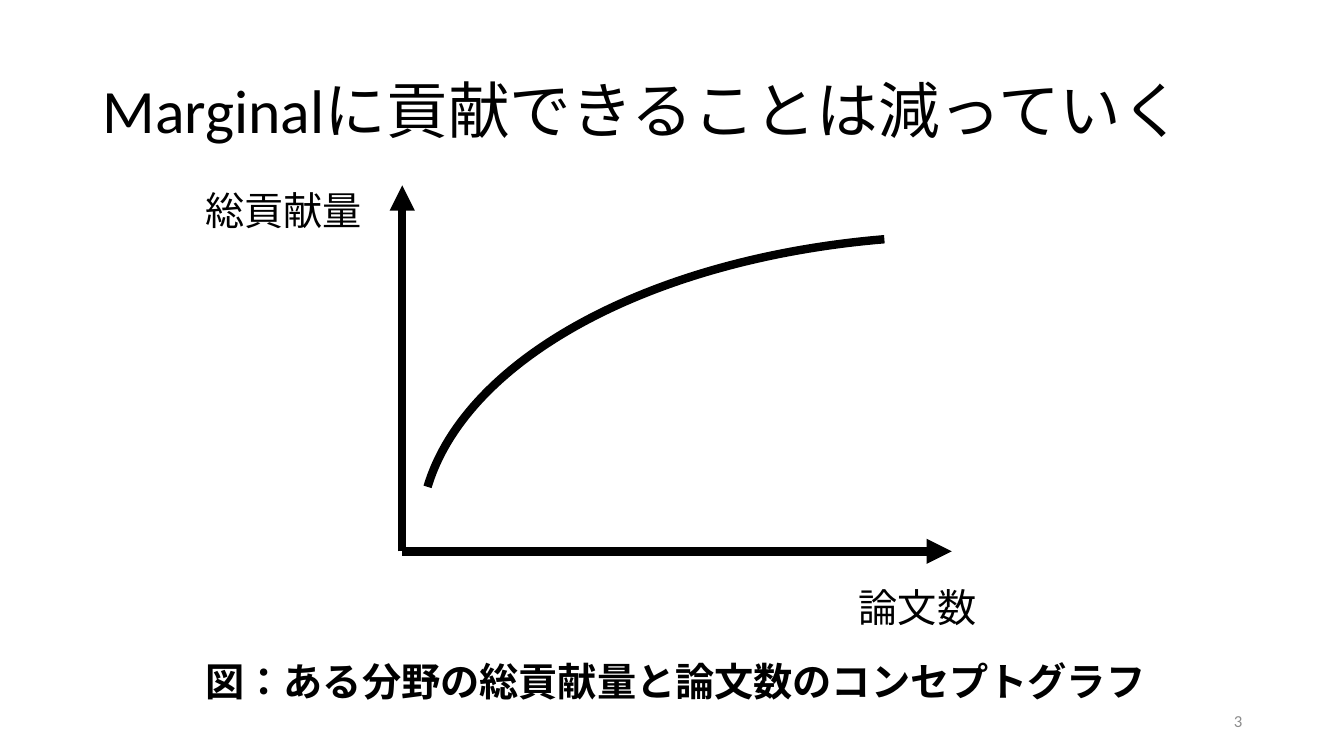
from lxml import etree
from pptx import Presentation
from pptx.dml.color import RGBColor
from pptx.enum.lang import MSO_LANGUAGE_ID
from pptx.enum.shapes import MSO_CONNECTOR, MSO_SHAPE
from pptx.enum.text import MSO_ANCHOR, PP_ALIGN
from pptx.oxml.ns import qn
from pptx.util import Inches, Pt

COLORS = {"ink": "000000", "number": "8C8C8C"}
FONT = "Calibri"
LINE_WIDTH = 6

TITLE = ("Marginalに貢献できることは減っていく", (0.92, 0.4, 11.5, 1.45))
PAGE_NUMBER = ("3", (9.42, 6.95, 3, 0.4))
X_LABEL = ("論文数", (8.42, 5.74, 2.04, 0.57))
Y_LABEL = ("総貢献量", (1.94, 1.8, 2.04, 0.57))
CAPTION = ("図：ある分野の総貢献量と論文数のコンセプトグラフ", (1.94, 6.47, 10.1, 0.57))

ORIGIN = (3.99, 5.47)
AXIS_ENDS = [(9.44, ORIGIN[1]), (ORIGIN[0], 1.84)]
CURVE_BOX = (4.17, 2.34, 10.83, 5.94)
CURVE_DEGREES = (185.13, 254.52)
ADJUSTMENT_PER_DEGREE = 0.6


def inches(values):
    return [Inches(value) for value in values]


def add_text(slide, content, size=28, color="ink", bold=False,
             anchor=MSO_ANCHOR.TOP, align=PP_ALIGN.LEFT, spacing=1.0):
    text, box = content
    text_frame = slide.shapes.add_textbox(*inches(box)).text_frame
    text_frame.word_wrap = True
    text_frame.vertical_anchor = anchor
    text_frame.text = text
    paragraph = text_frame.paragraphs[0]
    paragraph.alignment = align
    paragraph.line_spacing = spacing
    font = paragraph.runs[0].font
    font.name = FONT
    font.size = Pt(size)
    font.bold = bold
    font.language_id = MSO_LANGUAGE_ID.JAPANESE
    font.color.rgb = RGBColor.from_string(COLORS[color])


def style_line(line):
    line.color.rgb = RGBColor.from_string(COLORS["ink"])
    line.width = Pt(LINE_WIDTH)


def add_axis(slide, end):
    axis = slide.shapes.add_connector(MSO_CONNECTOR.STRAIGHT, *inches(ORIGIN + end))
    style_line(axis.line)
    properties = axis._element.spPr
    etree.SubElement(properties.find(qn("a:ln")), qn("a:tailEnd"), type="triangle")
    etree.SubElement(properties, qn("a:effectLst"))


def add_curve(slide):
    curve = slide.shapes.add_shape(MSO_SHAPE.ARC, *inches(CURVE_BOX))
    curve.shadow.inherit = False
    curve.fill.background()
    style_line(curve.line)
    for index, degrees in enumerate(CURVE_DEGREES):
        curve.adjustments[index] = degrees * ADJUSTMENT_PER_DEGREE


presentation = Presentation()
presentation.slide_width = Inches(13.33)
presentation.slide_height = Inches(7.5)
slide = presentation.slides.add_slide(presentation.slide_layouts[6])

add_text(slide, TITLE, size=44, anchor=MSO_ANCHOR.MIDDLE, spacing=0.9)
add_text(slide, PAGE_NUMBER, size=12, color="number",
         anchor=MSO_ANCHOR.MIDDLE, align=PP_ALIGN.RIGHT)
add_curve(slide)
for axis_end in AXIS_ENDS:
    add_axis(slide, axis_end)
for label in (X_LABEL, Y_LABEL):
    add_text(slide, label)
add_text(slide, CAPTION, bold=True)

presentation.save("out.pptx")
